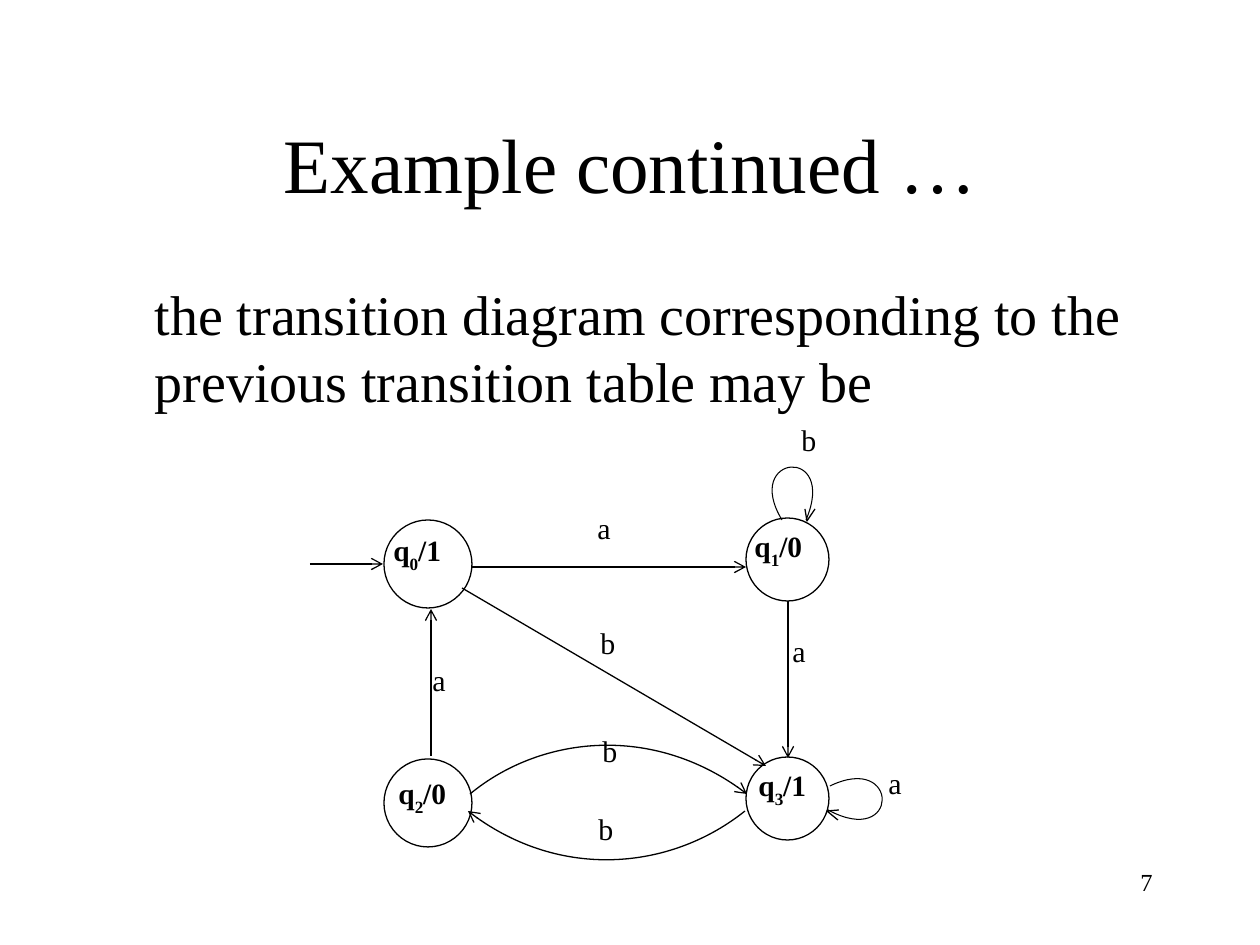
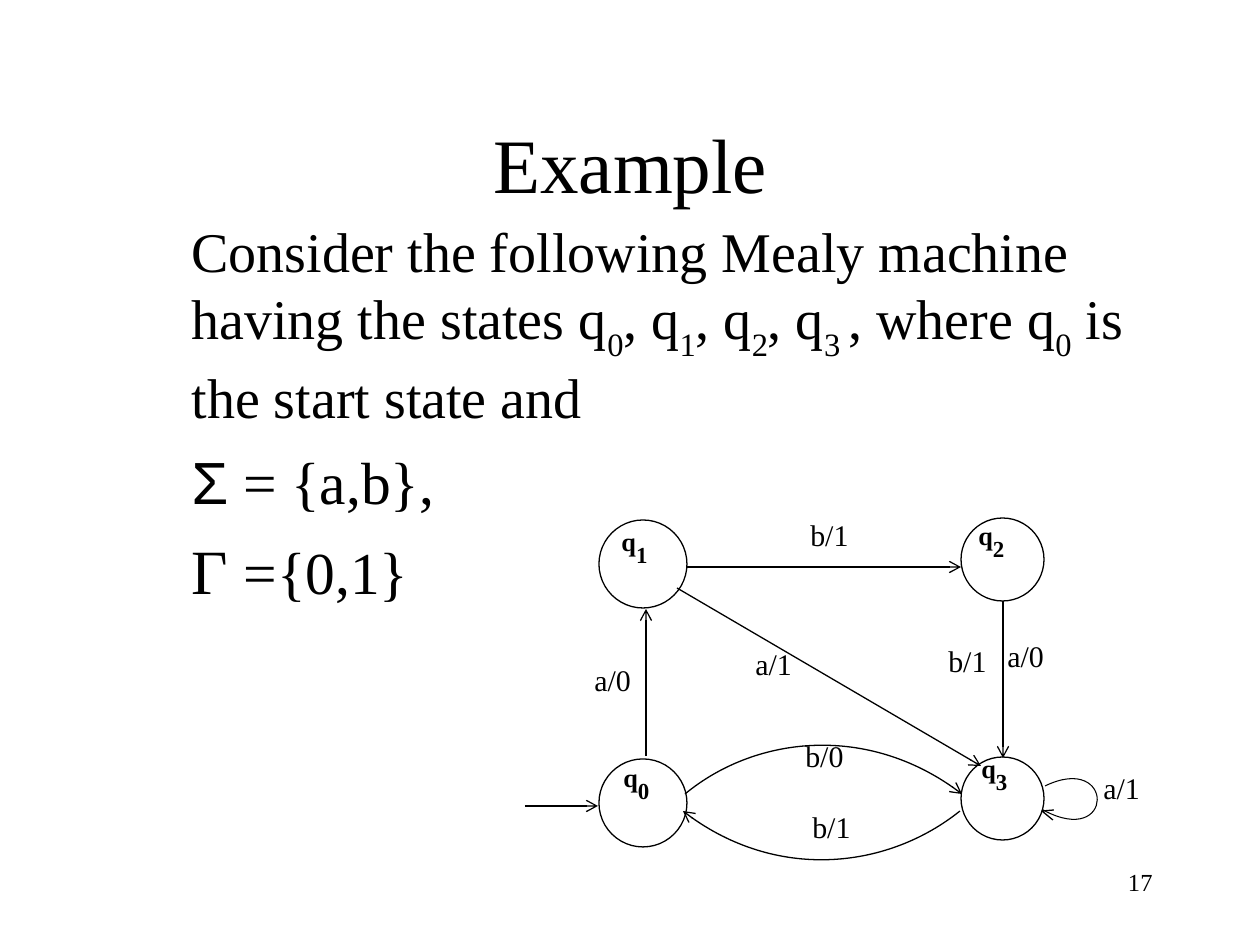
from dataclasses import dataclass

import lxml.etree
import pptx
import pptx.dml.color
import pptx.enum.shapes
import pptx.enum.text
import pptx.oxml.ns
import pptx.util

PX = 914400 / 126  # EMU in one px
ALIGN = pptx.enum.text.PP_ALIGN
ANCHOR = pptx.enum.text.MSO_ANCHOR
qn = pptx.oxml.ns.qn
Point = tuple[int, int]


@dataclass(frozen=True)
class Theme:
    ink: pptx.dml.color.RGBColor = pptx.dml.color.RGBColor(0, 0, 0)
    paper: pptx.dml.color.RGBColor = pptx.dml.color.RGBColor(255, 255, 255)
    serif: str = "Times New Roman"
    sans: str = "Arial"
    title: float = 44
    body: float = 32
    formula: float = 34
    gamma: float = 36
    number: float = 14
    edge_label: float = 17.1
    edge_line: float = 0.75
    loop_line: float = 0.6


THEME = Theme()


@dataclass(frozen=True)
class Span:
    text: str
    size: float = THEME.body
    font: str = THEME.serif


@dataclass(frozen=True)
class Label:
    text: str
    x: int
    y: int


@dataclass(frozen=True)
class Loop:
    curve: tuple[Point, ...]
    barbs: tuple[Point, ...]


@dataclass(frozen=True)
class Machine:
    shift: int  # distance of the diagram to the right
    start_y: int  # height of the start arrow
    loops: tuple[Loop, ...]
    state_size: float
    subscript_size: float
    state_labels: tuple[Label, ...]
    edge_labels: tuple[Label, ...]


@dataclass(frozen=True)
class Content:
    title: str
    number: str
    body_box: tuple[int, int, int, int]
    body_indent: int
    paragraphs: tuple[tuple[Span, ...], ...]
    machine: Machine


# Geometry shared by both diagrams
STATES = ((384, 520, 88), (746, 518, 83), (384, 759, 88), (746, 757, 83))
STRAIGHT_EDGES = (
    ((472, 567), (746, 567)),
    ((788, 601), (788, 758)),
    ((431, 756), (431, 609)),
    ((462, 588), (766, 766)),
)
CURVED_EDGES = (
    ((470, 794), (539, 737), (655, 723), (747, 794)),
    ((745, 811), (674, 868), (559, 882), (468, 811)),
)
RIGHT_LOOP = Loop(((830, 786), (900, 752), (900, 849), (828, 810)),
                  ((838, 820), (827, 811), (839, 810)))
TOP_LOOP = Loop(((782, 520), (742, 454), (838, 445), (806, 520)),
                ((815, 509), (807, 521), (805, 509)))

SLIDES = (
    Content(
        "Example continued …", "7", (95, 273, 1071, 567), 47,
        ((Span("the transition diagram corresponding to the previous transition table may be"),),),
        Machine(
            0, 564, (RIGHT_LOOP, TOP_LOOP), 16.8, 16.8,
            (Label("q_0_/1", 381, 529), Label("q_1_/0", 742, 525),
             Label("q_2_/0", 386, 772), Label("q_3_/1", 746, 764)),
            (Label("a", 585, 510), Label("b", 588, 625), Label("a", 420, 662),
             Label("a", 780, 633), Label("b", 590, 733), Label("b", 586, 811),
             Label("b", 789, 422), Label("a", 876, 765)),
        ),
    ),
    Content(
        "Example", "17", (95, 210, 1071, 683), 84,
        ((Span("Consider the following Mealy machine having the states "
               "q_0_, q_1_, q_2_, q_3 _, where q_0_ is the start state and"),),
         (Span("Σ", THEME.formula, THEME.sans), Span(" = {a,b},", THEME.formula)),
         (Span("Γ ", THEME.gamma), Span("={0,1}", THEME.formula))),
        Machine(
            215, 806, (RIGHT_LOOP,), 15, 22.5,
            (Label("q_1_", 609, 510), Label("q_2_", 966, 504),
             Label("q_0_", 611, 746), Label("q_3_", 969, 737)),
            (Label("b/1", 798, 517), Label("a/1", 743, 646), Label("a/0", 582, 662),
             Label("a/0", 995, 638), Label("b/1", 936, 643), Label("b/0", 793, 738),
             Label("b/1", 800, 809), Label("a/1", 1091, 770)),
        ),
    ),
)


def emu(*lengths: int) -> list[pptx.util.Emu]:
    return [pptx.util.Emu(round(length * PX)) for length in lengths]


def write(frame, paragraphs, *, align=ALIGN.LEFT, anchor=ANCHOR.TOP, bold=False,
          spacing=1.0, gap=0.0, indent=0, subscript_size=None) -> None:
    """Write paragraphs of spans; text between two underscores is subscript."""
    frame.word_wrap = True
    frame.auto_size = pptx.enum.text.MSO_AUTO_SIZE.NONE
    frame.vertical_anchor = anchor
    for index, spans in enumerate(paragraphs):
        para = frame.add_paragraph() if index else frame.paragraphs[0]
        properties = para._p.get_or_add_pPr()
        properties.set("marL", str(round(indent * PX)))
        properties.set("indent", "0")
        lxml.etree.SubElement(properties, qn("a:buNone"))
        para.alignment = align
        para.line_spacing = spacing
        para.space_before = pptx.util.Pt(gap if index else 0)
        for span in spans:
            for part, text in enumerate(span.text.split("_")):
                if not text:
                    continue
                lowered = part % 2 == 1
                run = para.add_run()
                run.text = text
                run.font.name = span.font
                run.font.size = pptx.util.Pt(lowered and subscript_size or span.size)
                run.font.bold = bold
                run.font.color.rgb = THEME.ink
                if lowered:
                    run.font._element.set("baseline", "-30000")


def add_text(page, x: int, y: int, width: int, height: int, span: Span, **style) -> None:
    box = page.shapes.add_textbox(*emu(x, y, width, height))
    write(box.text_frame, [[span]], **style)


def ink_line(shape, width: float = THEME.edge_line, arrow: bool = False) -> None:
    shape.line.color.rgb = THEME.ink
    shape.line.width = pptx.util.Pt(width)
    if arrow:
        outline = shape.element.spPr.get_or_add_ln()
        lxml.etree.SubElement(outline, qn("a:tailEnd"), type="arrow")


def add_state(page, x: int, y: int, size: int) -> None:
    circle = page.shapes.add_shape(pptx.enum.shapes.MSO_SHAPE.OVAL, *emu(x, y, size, size))
    circle.fill.solid()
    circle.fill.fore_color.rgb = THEME.paper
    circle.shadow.inherit = False
    ink_line(circle)


def add_arrow(page, start: Point, end: Point, shift: int) -> None:
    arrow = page.shapes.add_connector(
        pptx.enum.shapes.MSO_CONNECTOR.STRAIGHT,
        *emu(start[0] + shift, start[1], end[0] + shift, end[1]))
    ink_line(arrow, arrow=True)
    lxml.etree.SubElement(arrow.element.spPr, qn("a:effectLst"))


def add_stroke(page, points: tuple[Point, ...], shift: int, *, curved: bool = False,
               width: float = THEME.edge_line, arrow: bool = False) -> None:
    """Draw an open outline; a curved one takes its points as Bezier controls."""
    first, *rest = [(x + shift, y) for x, y in points]
    builder = page.shapes.build_freeform(*first, scale=PX)
    builder.add_line_segments(rest, close=False)
    stroke = builder.convert_to_shape()
    stroke.fill.background()
    stroke.shadow.inherit = False
    ink_line(stroke, width, arrow)
    if curved:
        outline = stroke.element.find(".//" + qn("a:path"))
        cubic = lxml.etree.SubElement(outline, qn("a:cubicBezTo"))
        for segment in outline.findall(qn("a:lnTo")):
            cubic.append(segment[0])
            outline.remove(segment)


def add_machine(page, machine: Machine) -> None:
    shift = machine.shift
    # States and edges
    for x, y, size in STATES:
        add_state(page, x + shift, y, size)
    start_edge = ((310, machine.start_y), (383, machine.start_y))
    for start, end in (*STRAIGHT_EDGES, start_edge):
        add_arrow(page, start, end, shift)
    for curve in CURVED_EDGES:
        add_stroke(page, curve, shift, curved=True, arrow=True)
    for loop in machine.loops:
        add_stroke(page, loop.curve, shift, curved=True, width=THEME.loop_line)
        add_stroke(page, loop.barbs, shift)
    # Labels
    for label in machine.state_labels:
        add_text(page, label.x, label.y, 121, 57, Span(label.text, machine.state_size),
                 bold=True, spacing=0.8, subscript_size=machine.subscript_size)
    for label in machine.edge_labels:
        add_text(page, label.x, label.y, 127, 52, Span(label.text, THEME.edge_label),
                 spacing=0.8)


def place(shape, x: int, y: int, width: int, height: int) -> None:
    shape.left, shape.top, shape.width, shape.height = emu(x, y, width, height)


def add_page(deck, content: Content) -> None:
    page = deck.slides.add_slide(deck.slide_layouts[1])
    # Title, body and page number
    title, body = page.shapes.title, page.placeholders[1]
    place(title, 95, 84, 1071, 158)
    write(title.text_frame, [[Span(content.title, THEME.title)]],
          align=ALIGN.CENTER, anchor=ANCHOR.MIDDLE)
    place(body, *content.body_box)
    write(body.text_frame, content.paragraphs, gap=8.5, indent=content.body_indent)
    add_text(page, 903, 861, 262, 63, Span(content.number, THEME.number), align=ALIGN.RIGHT)
    add_machine(page, content.machine)


def main() -> None:
    deck = pptx.Presentation()
    deck.slide_width, deck.slide_height = emu(1260, 945)
    for content in SLIDES:
        add_page(deck, content)
    deck.save("out.pptx")


if __name__ == "__main__":
    main()
